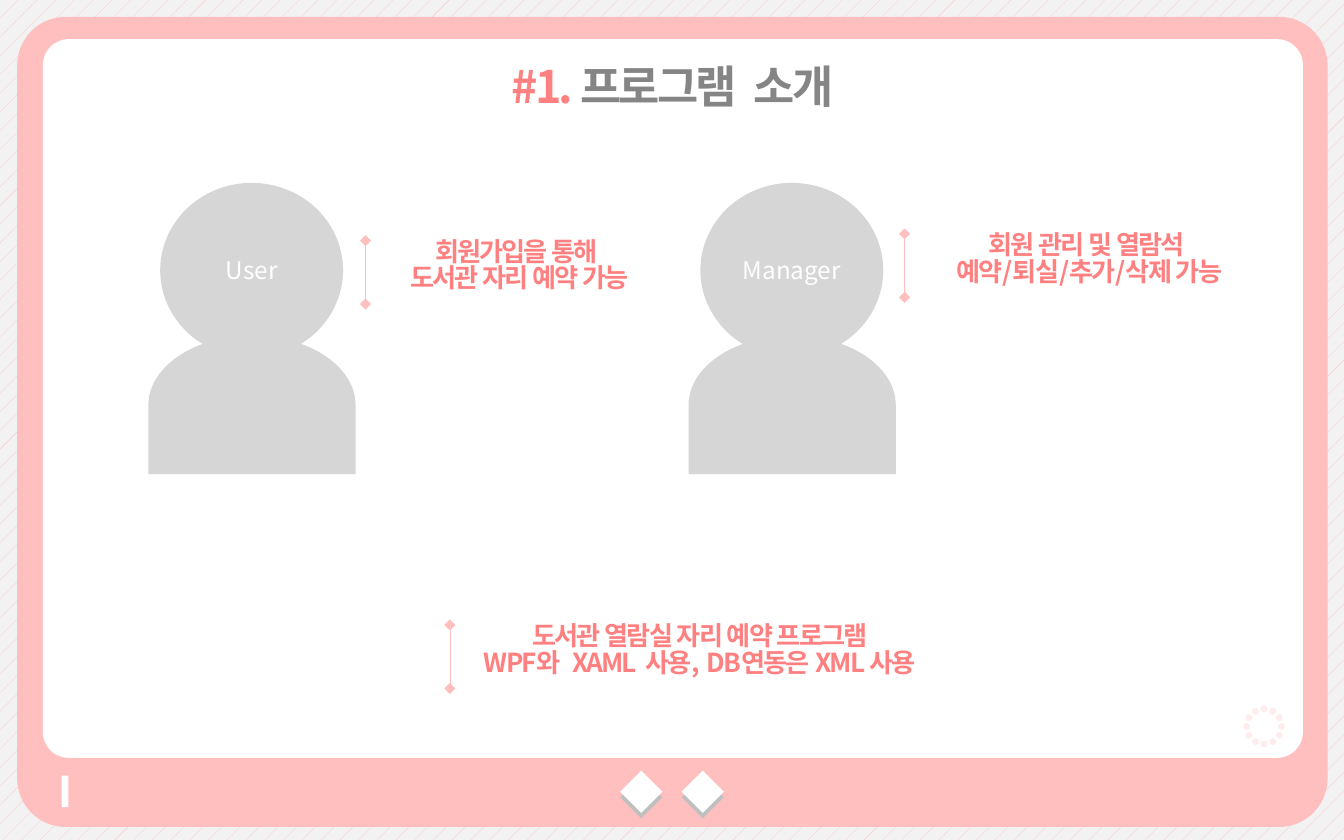
from math import cos, pi, sin

from lxml import etree
from pptx import Presentation
from pptx.dml.color import RGBColor
from pptx.enum import dml, lang, shapes, text
from pptx.oxml import ns
from pptx.util import Pt

FONT = "Noto Sans CJK KR"
PINK = RGBColor(0xFF, 0xBF, 0xBF)
CORAL = RGBColor(0xFF, 0x80, 0x80)
WHITE = RGBColor(0xFF, 0xFF, 0xFF)
PAPER = RGBColor(0xF2, 0xF2, 0xF2)
SILVER = RGBColor(0xD6, 0xD6, 0xD6)
SHADE = RGBColor(0xBF, 0xBF, 0xBF)
GRAY = RGBColor(0x85, 0x85, 0x85)
KIND = shapes.MSO_SHAPE


def add_child(parent, tag, **attributes):
    """Append a DrawingML child element and return it."""
    return etree.SubElement(parent, ns.qn(tag), attributes)


def add_figure(parent, kind, box, color, rotation=0, radius=None, alpha=None):
    """Add a flat filled preset shape in the box (left, top, width, height)."""
    shape = parent.shapes.add_shape(kind, *map(Pt, box))
    shape.shadow.inherit = False
    shape.fill.solid()
    shape.fill.fore_color.rgb = color
    shape.line.fill.background()
    shape.rotation = rotation
    if radius is not None:
        shape.adjustments[0] = radius
    if alpha is not None:
        fill = shape.element.spPr.find(ns.qn("a:solidFill"))
        add_child(fill[0], "a:alpha", val=str(alpha * 1000))
    return shape


def add_text(paragraph, words, size=14, color=CORAL, bold=True, tracking=0):
    """Add a formatted run to a centred paragraph."""
    paragraph.alignment = text.PP_ALIGN.CENTER
    run = paragraph.add_run()
    run.text = words
    font = run.font
    font.size, font.bold, font.name = Pt(size), bold, FONT
    font.color.rgb = color
    font.language_id = lang.MSO_LANGUAGE_ID.KOREAN
    properties = run._r.get_or_add_rPr()
    add_child(properties, "a:ea", typeface=FONT)
    if tracking:
        properties.set("spc", str(int(tracking * 100)))


def prepare_frame(shape):
    """Make a text frame wrap, start at the top and grow with its text."""
    frame = shape.text_frame
    frame.word_wrap = True
    frame.vertical_anchor = text.MSO_ANCHOR.TOP
    frame.auto_size = text.MSO_AUTO_SIZE.SHAPE_TO_FIT_TEXT
    return frame


def add_window(slide, box):
    """Draw the rounded pink window, its white screen and its bottom bar."""
    left, top, width, height = box
    add_figure(slide, KIND.ROUNDED_RECTANGLE, box, PINK, radius=0.06)
    screen = (left + 13.8, top + 12, width - 27, height - 49)
    add_figure(slide, KIND.ROUNDED_RECTANGLE, screen, WHITE, radius=0.036)
    bar_top = top + height - 27.5
    add_figure(slide, KIND.RECTANGLE, (left + 23.8, bar_top, 3.6, 17), WHITE)
    buttons = slide.shapes.add_group_shape()
    for drop, color in ((3, SHADE), (0, WHITE)):
        for offset in (326.3, 359.3):
            button = (left + offset, bar_top + 0.7 + drop, 16, 16)
            add_figure(buttons, KIND.RECTANGLE, button, color, rotation=45)


def add_title(slide, box):
    """Place the two-coloured title in the title placeholder."""
    title = slide.shapes.title
    title.left, title.top, title.width, title.height = map(Pt, box)
    title.element.getparent().append(title.element)
    paragraph = prepare_frame(title).paragraphs[0]
    paragraph.line_spacing = 0.84
    for words, color in (("#1. ", CORAL), ("프로그램  소개", GRAY)):
        add_text(paragraph, words, size=24, color=color, tracking=-1.5)


def add_ring(slide, box, dots=12, size=3.6):
    """Draw a circle of pale dots inside a square box."""
    left, top, width, height = box
    radius = (width - size) / 2
    ring = slide.shapes.add_group_shape()
    for index in range(dots):
        angle = 2 * pi * index / dots
        x = left + radius * (1 + cos(angle))
        y = top + radius * (1 + sin(angle))
        add_figure(ring, KIND.OVAL, (x, y, size, size), PINK, alpha=29)


def add_person(slide, box, label):
    """Draw a labelled head above a pair of shoulders."""
    left, top, width, height = box
    person = slide.shapes.add_group_shape()
    depth = 74.2
    body = (left + (width - depth) / 2, top + height - (depth + width) / 2,
            depth, width)
    add_figure(person, KIND.FLOWCHART_DELAY, body, SILVER, rotation=270)
    head = add_figure(person, KIND.OVAL, (left + 6.3, top, 98, 93.6), SILVER)
    head.text_frame.vertical_anchor = text.MSO_ANCHOR.MIDDLE
    add_text(head.text_frame.paragraphs[0], label, size=13, color=WHITE, bold=False)


def add_caption(slide, box, lines, rule_offset):
    """Place a two-line caption and its diamond-ended vertical rule."""
    left, top = box[:2]
    frame = prepare_frame(slide.shapes.add_textbox(*map(Pt, box)))
    for index, words in enumerate(lines):
        paragraph = frame.add_paragraph() if index else frame.paragraphs[0]
        paragraph.line_spacing = 0.84
        add_text(paragraph, words, tracking=-1)
    x = Pt(left + rule_offset)
    rule = slide.shapes.add_connector(
        shapes.MSO_CONNECTOR.STRAIGHT, x, Pt(top + 37.6), x, Pt(top + 3.6))
    rule.line.color.rgb = PINK
    rule.line.width = Pt(0.25)
    outline = rule.line._get_or_add_ln()
    for end in ("a:headEnd", "a:tailEnd"):
        add_child(outline, end, type="diamond")
    add_child(rule.element.spPr, "a:effectLst")


def main():
    """Build the program introduction slide."""
    presentation = Presentation()
    presentation.slide_width, presentation.slide_height = Pt(720), Pt(450)
    slide = presentation.slides.add_slide(presentation.slide_layouts[5])
    fill = slide.background.fill
    fill.patterned()
    fill.pattern = dml.MSO_PATTERN.PERCENT_5
    fill.fore_color.rgb, fill.back_color.rgb = PINK, PAPER

    add_window(slide, (9.2, 9, 702, 434))
    add_title(slide, (123, 32.4, 474.5, 36))
    add_ring(slide, (666, 378, 22.4, 22.4))
    for left, label in ((79.5, "User"), (368.9, "Manager")):
        add_person(slide, (left, 98, 111, 156), label)
    captions = (
        ((198.7, 125.3, 159, 41), -2.9,
         ("회원가입을 통해 ", "도서관 자리 예약 가능")),
        ((496.1, 121.7, 175, 41), -11.5,
         ("회원 관리 및 열람석 ", "예약/퇴실/추가/삭제 가능")),
        ((228, 331.2, 294, 41), 13,
         ("도서관 열람실 자리 예약 프로그램", "WPF와  XAML  사용,  DB연동은 XML 사용")),
    )
    for box, rule_offset, lines in captions:
        add_caption(slide, box, lines, rule_offset)
    presentation.save("out.pptx")


if __name__ == "__main__":
    main()
